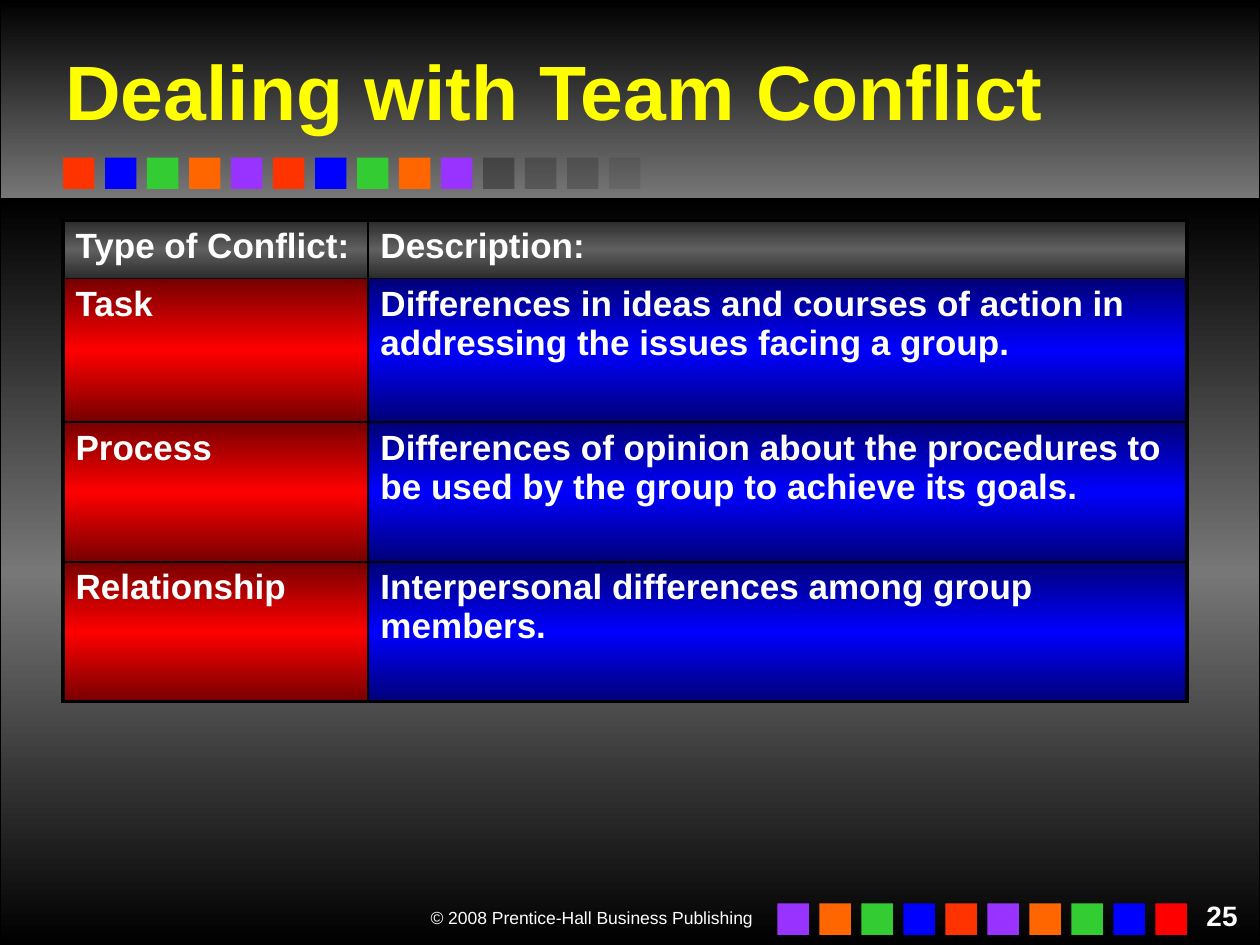
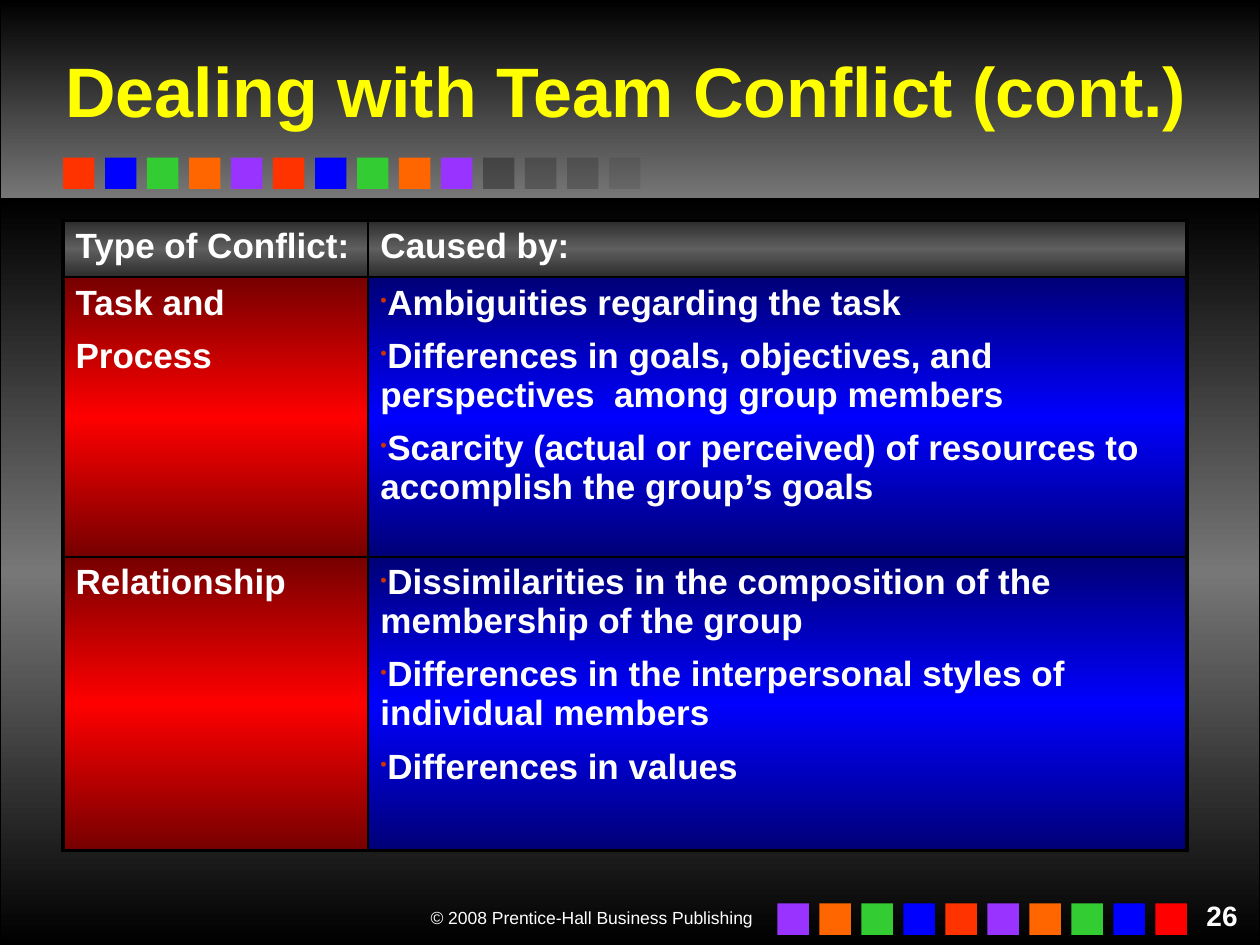
from dataclasses import dataclass
from itertools import cycle, islice

from lxml import etree
from pptx import Presentation
from pptx.dml.color import RGBColor
from pptx.enum.shapes import MSO_SHAPE
from pptx.enum.text import MSO_ANCHOR, PP_ALIGN
from pptx.oxml.ns import qn
from pptx.util import Inches, Pt

FONT = "Arial"
BLACK, WHITE, YELLOW = "000000", "FFFFFF", "FFFF00"
GREY, BULLET = "777777", "CC3300"
RAINBOW = ["FF3300", "0000FF", "33CC33", "FF6600", "9933FF"]
FADE_COLOUR, FADE_ALPHAS = "292929", [50, 35, 30, 15]
LAST_SQUARE = "FF0000"
HEADER_FILL = ["2C2C2C", "5F5F5F", "2C2C2C"]
TYPE_FILL = ["760000", "FF0000", "760000"]
DETAIL_FILL = ["000076", "0000FF", "000076"]
COLUMN_WIDTHS = [2.42, 6.5]
OUTER_BORDER, INNER_BORDER = 2.25, 1
SQUARE, SQUARE_PITCH = 0.25, 1 / 3
COPYRIGHT = "© 2008 Prentice-Hall Business Publishing"


@dataclass
class Band:
    top: float
    height: float
    colours: list[str]


@dataclass
class Square:
    colour: str
    alpha: int = 100


@dataclass
class ConflictRow:
    height: float
    types: list[str]
    details: list[str]


@dataclass
class ConflictSlide:
    number: int
    title: str
    title_size: int
    detail_heading: str
    heading_height: float
    rows: list[ConflictRow]
    bulleted: bool = False


BANDS = [
    Band(0, 1.58, [BLACK, GREY]),
    Band(1.58, 5.92, [BLACK, GREY, BLACK]),
]
TITLE_SQUARES = [Square(c) for c in islice(cycle(RAINBOW), 10)]
TITLE_SQUARES += [Square(FADE_COLOUR, alpha) for alpha in FADE_ALPHAS]
FOOTER_SQUARES = [Square(c) for c in islice(cycle(RAINBOW[::-1]), 9)]
FOOTER_SQUARES.append(Square(LAST_SQUARE))

SLIDES = [
    ConflictSlide(25, "Dealing with Team Conflict", 44, "Description:", 0.46, [
        ConflictRow(1.14, ["Task"], [
            "Differences in ideas and courses of action in addressing "
            "the issues facing a group."]),
        ConflictRow(1.11, ["Process"], [
            "Differences of opinion about the procedures to be used by "
            "the group to achieve its goals."]),
        ConflictRow(1.11, ["Relationship"], [
            "Interpersonal differences among group members."]),
    ]),
    ConflictSlide(26, "Dealing with Team Conflict (cont.)", 40, "Caused by:", 0.45, [
        ConflictRow(2.22, ["Task and", "Process"], [
            "Ambiguities regarding the task",
            "Differences in goals, objectives, and perspectives  among group members",
            "Scarcity (actual or perceived) of resources to accomplish the group’s goals"]),
        ConflictRow(2.33, ["Relationship"], [
            "Dissimilarities in the composition of the membership of the group",
            "Differences in the interpersonal styles of individual members",
            "Differences in values"]),
    ], bulleted=True),
]


def rgb(colour: str) -> RGBColor:
    return RGBColor.from_string(colour)


def add_child(parent, tag: str, **attributes):
    return etree.SubElement(parent, qn(tag), attributes)


def fill_gradient(fill, owner, colours: list[str]) -> None:
    """Fill from top to bottom with evenly spaced colours; owner holds the fill's XML."""
    fill.gradient()
    fill.gradient_angle = 270
    stops = next(owner.iter(qn("a:gsLst")))
    for stop in list(stops):
        stops.remove(stop)
    for index, colour in enumerate(colours):
        position = round(100000 * index / (len(colours) - 1))
        stop = add_child(stops, "a:gs", pos=str(position))
        add_child(stop, "a:srgbClr", val=colour)


def style_font(font, size: float, colour: str, bold: bool) -> None:
    for name, value in {"name": FONT, "size": Pt(size), "bold": bold}.items():
        setattr(font, name, value)
    font.color.rgb = rgb(colour)


def add_rectangle(slide, left: float, top: float, width: float, height: float):
    rectangle = slide.shapes.add_shape(
        MSO_SHAPE.RECTANGLE, Inches(left), Inches(top), Inches(width), Inches(height))
    rectangle.shadow.inherit = False
    rectangle.line.fill.background()
    return rectangle


def add_band(slide, band: Band) -> None:
    rectangle = add_rectangle(slide, 0, band.top, 10, band.height)
    fill_gradient(rectangle.fill, rectangle.element, band.colours)
    rectangle.line.color.rgb = rgb(BLACK)
    rectangle.line.width = Pt(0.75)


def add_squares(slide, left: float, top: float, squares: list[Square]) -> None:
    for index, square in enumerate(squares):
        tile = add_rectangle(slide, left + index * SQUARE_PITCH, top, SQUARE, SQUARE)
        tile.fill.solid()
        tile.fill.fore_color.rgb = rgb(square.colour)
        if square.alpha < 100:
            colour = next(tile.element.iter(qn("a:srgbClr")))
            add_child(colour, "a:alpha", val=str(square.alpha * 1000))


def add_label(slide, box: tuple[float, ...], text: str, size: float,
              colour: str = WHITE, bold: bool = True, align=PP_ALIGN.RIGHT):
    label = slide.shapes.add_textbox(*map(Inches, box))
    label.text_frame.word_wrap = True
    paragraph = label.text_frame.paragraphs[0]
    paragraph.alignment = align
    run = paragraph.add_run()
    run.text = text
    style_font(run.font, size, colour, bold)
    return label


def add_title(slide, text: str, size: float) -> None:
    title = add_label(slide, (0.42, 0.25, 9.42, 0.92), text, size, YELLOW,
                      align=PP_ALIGN.LEFT)
    title.text_frame.vertical_anchor = MSO_ANCHOR.MIDDLE
    effects = etree.Element(qn("a:effectLst"))
    shadow = add_child(effects, "a:outerShdw", dist="38100", dir="2700000")
    add_child(shadow, "a:srgbClr", val=BLACK)
    run_properties = next(title.element.iter(qn("a:rPr")))
    run_properties.find(qn("a:solidFill")).addnext(effects)


def add_bullet(paragraph) -> None:
    properties = paragraph._p.get_or_add_pPr()
    properties.set("marL", "0")
    properties.set("indent", "0")
    add_child(add_child(properties, "a:buClr"), "a:srgbClr", val=BULLET)
    add_child(properties, "a:buSzPct", val="55000")
    add_child(properties, "a:buChar", char="•")


def add_borders(cell, widths: dict[str, float]) -> None:
    properties = cell._tc.get_or_add_tcPr()
    for side, width in widths.items():
        line = add_child(properties, f"a:ln{side}", w=str(Pt(width)))
        add_child(add_child(line, "a:solidFill"), "a:srgbClr", val=BLACK)


def write_cell(cell, lines: list[str], bulleted: bool) -> None:
    for index, line in enumerate(lines):
        frame = cell.text_frame
        paragraph = frame.add_paragraph() if index else frame.paragraphs[0]
        if index:
            paragraph.space_before = Pt(8)
        if bulleted:
            add_bullet(paragraph)
        run = paragraph.add_run()
        run.text = line
        style_font(run.font, 20, WHITE, True)


def add_conflict_table(slide, content: ConflictSlide) -> None:
    heading = ConflictRow(content.heading_height, ["Type of Conflict:"],
                          [content.detail_heading])
    rows = [heading, *content.rows]
    table = slide.shapes.add_table(
        len(rows), len(COLUMN_WIDTHS), Inches(0.5), Inches(1.75),
        Inches(sum(COLUMN_WIDTHS)), Inches(sum(row.height for row in rows))).table
    table.first_row = table.horz_banding = False
    for column, width in zip(table.columns, COLUMN_WIDTHS):
        column.width = Inches(width)
    last_row, last_column = len(rows) - 1, len(COLUMN_WIDTHS) - 1
    for r, row in enumerate(rows):
        table.rows[r].height = Inches(row.height)
        fills = [TYPE_FILL, DETAIL_FILL] if r else [HEADER_FILL] * 2
        for c, lines in enumerate([row.types, row.details]):
            cell = table.cell(r, c)
            on_edge = {"L": c == 0, "R": c == last_column,
                       "T": r == 0, "B": r == last_row}
            add_borders(cell, {side: OUTER_BORDER if edge else INNER_BORDER
                               for side, edge in on_edge.items()})
            fill_gradient(cell.fill, cell._tc, fills[c])
            write_cell(cell, lines, content.bulleted and r > 0 and c == 1)


def add_conflict_slide(presentation, content: ConflictSlide) -> None:
    slide = presentation.slides.add_slide(presentation.slide_layouts[6])
    for band in BANDS:
        add_band(slide, band)
    add_label(slide, (2.92, 7.15, 3.15, 0.27), COPYRIGHT, 10, bold=False)
    add_squares(slide, 0.5, 1.25, TITLE_SQUARES)
    add_squares(slide, 6.17, 7.17, FOOTER_SQUARES)
    add_label(slide, (9.42, 7.08, 0.5, 0.17), str(content.number), 16)
    add_title(slide, content.title, content.title_size)
    add_conflict_table(slide, content)


def main() -> None:
    presentation = Presentation()
    presentation.slide_width = Inches(10)
    presentation.slide_height = Inches(7.5)
    for content in SLIDES:
        add_conflict_slide(presentation, content)
    presentation.save("out.pptx")


if __name__ == "__main__":
    main()
